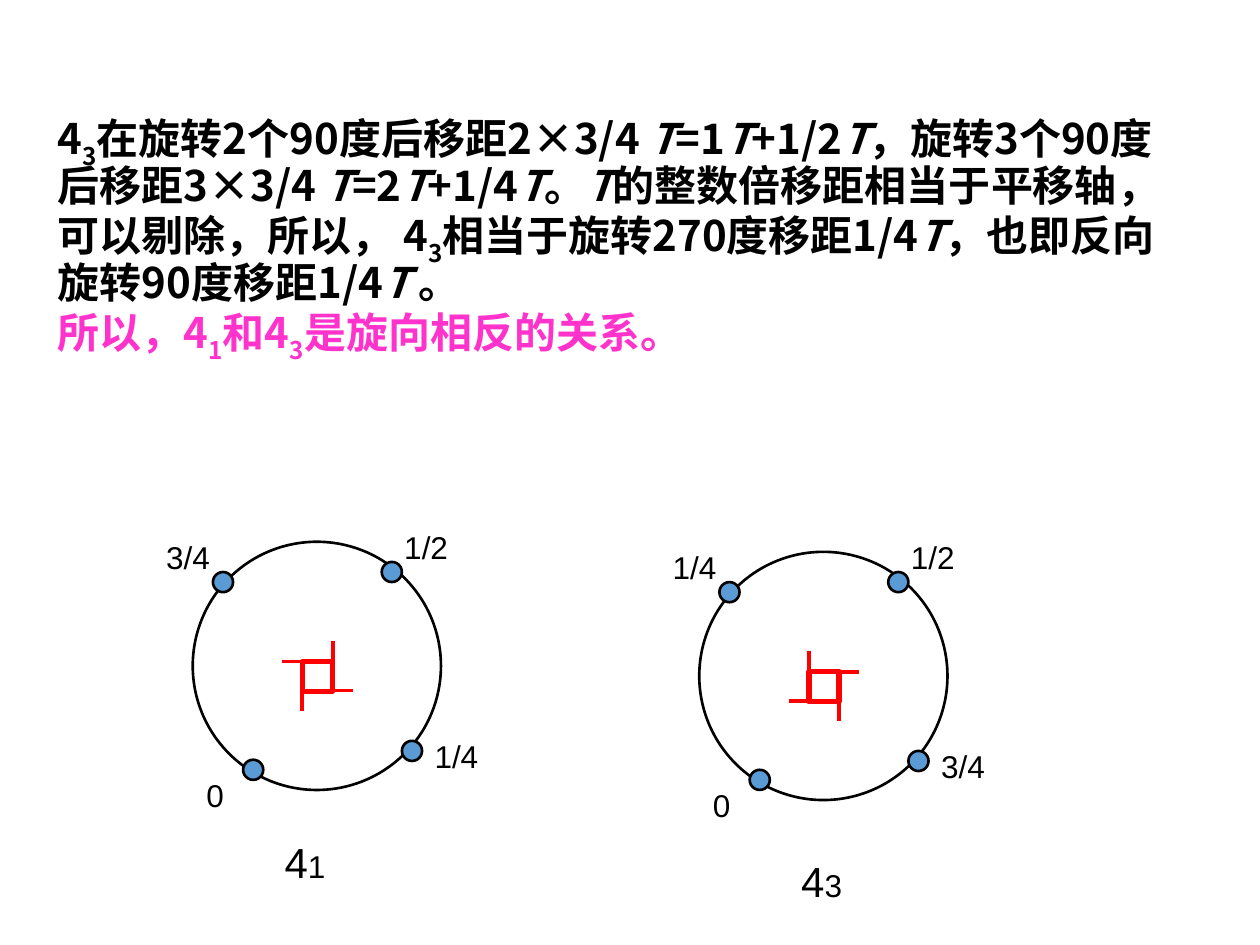
from pptx import Presentation
from pptx.dml.color import RGBColor
from pptx.enum.shapes import MSO_CONNECTOR as Connector, MSO_SHAPE as Shape
from pptx.enum.text import MSO_ANCHOR as Anchor, MSO_AUTO_SIZE as AutoSize
from pptx.oxml.ns import qn
from pptx.util import Pt
from lxml.etree import SubElement

PX = 9144
BLACK = RGBColor(0, 0, 0)
WHITE = RGBColor(255, 255, 255)
RED = RGBColor(255, 0, 0)
BLUE = RGBColor(0x5B, 0x9B, 0xD5)
PINK = RGBColor(0xFF, 0x33, 0xCC)
TITLE_FONT = "Noto Sans CJK SC"

STATEMENT = (
    "4_3_在旋转2个90度后移距2×3/4 *T*=1*T*+1/2*T*，旋转3个90度后移距3×3/4 *T*=2*T*+1/4*T*。"
    "*T*的整数倍移距相当于平移轴，可以剔除，所以， 4_3_相当于旋转270度移距1/4*T*，"
    "也即反向旋转90度移距1/4*T *。"
)
CONCLUSION = "所以，4_1_和4_3_是旋向相反的关系。"

CIRCLE = 197
DOT = 16
SQUARE = 24
DOTS = [(40, 173), (166, 158), (150, 16), (16, 24)]
LABELS = [(1, 181, 34), (182, 150, 55), (158, -16, 55), (-31, -8, 55)]
ARMS = [
    ((24, -16), (24, 7)),
    ((0, 15), (0, 39)),
    ((0, 0), (-16, 0)),
    ((40, 23), (24, 23)),
]


def add_span(para, text, **formats):
    """Add a run with the given font values."""
    span = para.add_run()
    span.text = text
    color = formats.pop("color", BLACK)
    for name, value in formats.items():
        setattr(span.font, name, value)
    span.font.color.rgb = color
    return span


def add_marked_text(para, text, color):
    """Add bold title text, with _x_ as subscript and *x* as italic."""
    for outer, section in enumerate(text.split("_")):
        for inner, part in enumerate(section.split("*")):
            if not part:
                continue
            span = add_span(para, part, name=TITLE_FONT, size=Pt(24), bold=True,
                            italic=inner % 2 == 1, color=color)
            properties = span.font._element
            SubElement(properties, qn("a:ea")).set("typeface", TITLE_FONT)
            if outer % 2:
                properties.set("baseline", "-25000")


def add_statement(page, left, top, width, height):
    """Place the explanation and its highlighted conclusion."""
    box = page.shapes.add_textbox(left * PX, top * PX, width * PX, height * PX)
    frame = box.text_frame
    frame.word_wrap = True
    frame.vertical_anchor = Anchor.BOTTOM
    frame.margin_bottom = 46 * PX
    para = frame.paragraphs[0]
    para.line_spacing = 0.9
    add_marked_text(para, STATEMENT, BLACK)
    para.add_line_break()
    add_marked_text(para, CONCLUSION, PINK)


def add_outline(page, kind, left, top, size, fill, line, weight):
    """Place a filled, outlined shape of equal width and height."""
    shape = page.shapes.add_shape(kind, left * PX, top * PX, size * PX, size * PX)
    shape.shadow.inherit = False
    shape.fill.solid()
    shape.fill.fore_color.rgb = fill
    shape.line.color.rgb = line
    shape.line.width = Pt(weight)


def add_label(page, left, top, width, height, parts, wrap=False):
    """Place a label made of (text, size) parts."""
    box = page.shapes.add_textbox(left * PX, top * PX, width * PX, height * PX)
    box.text_frame.word_wrap = wrap
    box.text_frame.auto_size = AutoSize.SHAPE_TO_FIT_TEXT
    for text, size in parts:
        add_span(box.text_frame.paragraphs[0], text, name="Arial", size=Pt(size))


def add_axis_symbol(page, left, top, mirrored):
    """Place the fourfold screw axis symbol: a square with four arms."""
    add_outline(page, Shape.RECTANGLE, left, top, SQUARE, WHITE, RED, 3)
    for arm in ARMS:
        (x1, y1), (x2, y2) = [
            (left + (SQUARE - x if mirrored else x), top + y) for x, y in arm
        ]
        line = page.shapes.add_connector(
            Connector.STRAIGHT, x1 * PX, y1 * PX, x2 * PX, y2 * PX)
        line.line.color.rgb = RED
        line.line.width = Pt(2.25)
        SubElement(line._element.spPr, qn("a:effectLst"))


def add_diagram(page, left, top, labels, subscript, caption, mirrored=False):
    """Place one screw axis diagram with its circle at the given corner."""
    add_outline(page, Shape.OVAL, left, top, CIRCLE, WHITE, BLACK, 1.5)
    for x, y in DOTS:
        add_outline(page, Shape.OVAL, left + x, top + y, DOT, BLUE, BLACK, 1.5)
    add_axis_symbol(page, left + 87, top + 95, mirrored)
    for text, (x, y, width) in zip(labels, LABELS):
        add_label(page, left + x, top + y, width, 40, [(text, 18)])
    x, y = caption
    add_label(page, left + x, top + y, 79, 50, [("4", 24), (subscript, 18)], wrap=True)


def main():
    """Build and save the slide."""
    deck = Presentation()
    deck.slide_width = 1000 * PX
    deck.slide_height = 750 * PX
    page = deck.slides.add_slide(deck.slide_layouts[6])
    add_statement(page, 36, 77, 892, 254)
    add_diagram(page, 153, 430, ["0", "1/4", "1/2", "3/4"], "1", (63, 229))
    add_diagram(page, 555, 438, ["0", "3/4", "1/2", "1/4"], "3", (71, 236), mirrored=True)
    deck.save("out.pptx")


if __name__ == "__main__":
    main()
